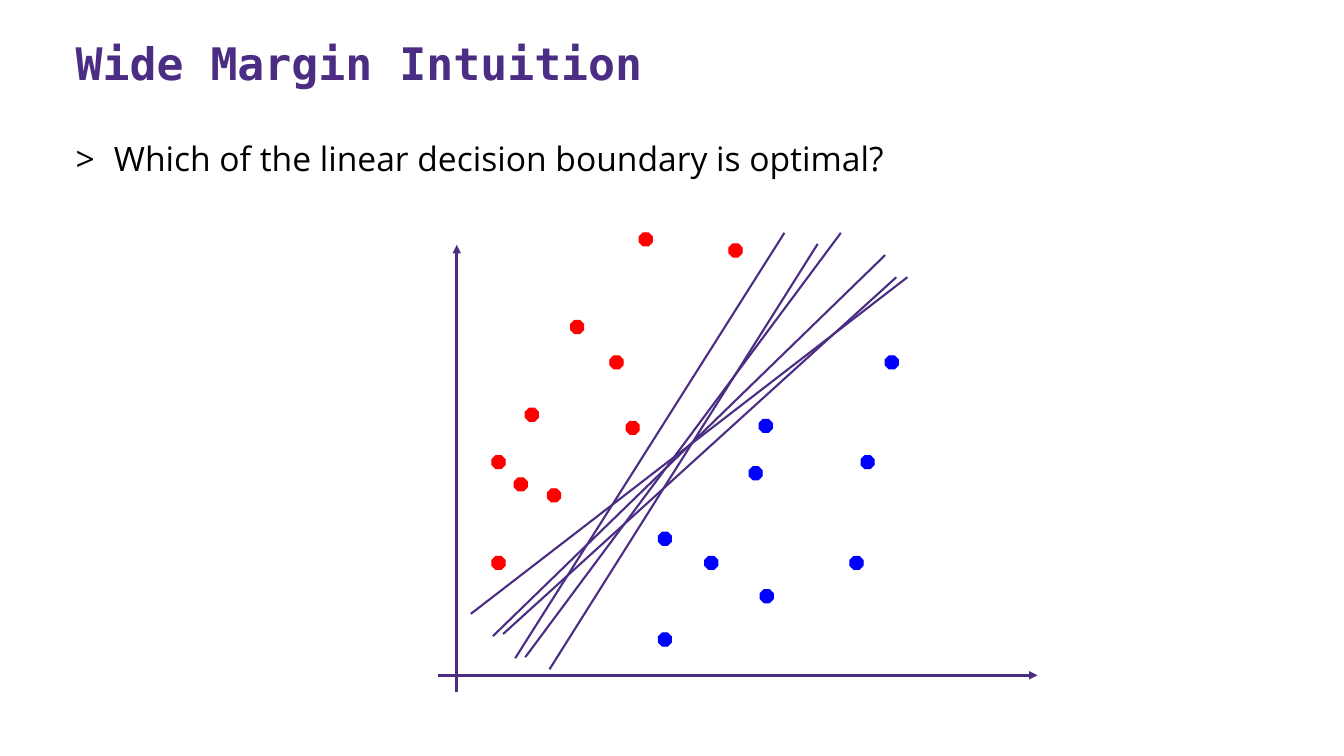
from lxml.etree import SubElement
from pptx import Presentation
from pptx.dml.color import RGBColor
from pptx.enum.shapes import MSO_CONNECTOR, MSO_SHAPE
from pptx.enum.text import MSO_ANCHOR, MSO_AUTO_SIZE, PP_ALIGN
from pptx.oxml.ns import qn
from pptx.util import Inches, Pt

COLORS = {"purple": "4B2E83", "red": "FF0000", "blue": "0000FF",
          "black": "000000", "white": "FFFFFF"}
DOT = 0.13

# Offsets in inches from the top left corner of the plot
RED_DOTS = [(1.71, 1.22), (0.87, 1.74), (1.09, 2.54), (0.54, 3.21), (1.32, 0.87),
            (0.54, 2.21), (0.76, 2.43), (1.87, 1.87), (2.0, 0), (2.89, 0.11)]
BLUE_DOTS = [(3.19, 1.85), (2.65, 3.21), (4.09, 3.21), (2.19, 3.97), (3.09, 2.32),
             (2.19, 2.97), (3.2, 3.54), (4.2, 2.21), (4.44, 1.22)]
BOUNDARIES = [(0.65, 3.98, 4.55, 0.44), (0.87, 4.21, 4.0, 0), (0.33, 3.78, 4.66, 0.44),
              (1.11, 4.33, 3.77, 0.11), (0.77, 4.22, 3.44, 0), (0.55, 4.0, 4.44, 0.22)]


def rgb(name):
    return RGBColor.from_string(COLORS[name])


def place(sp, box):
    sp.left, sp.top, sp.width, sp.height = [Inches(v) for v in box]


def add_text(sp, box, text, font, size, color, anchor, bold=False):
    place(sp, box)
    tf = sp.text_frame
    tf.word_wrap = True
    tf.auto_size = MSO_AUTO_SIZE.NONE
    tf.vertical_anchor = anchor
    p = tf.paragraphs[0]
    p.alignment = PP_ALIGN.LEFT
    r = p.add_run()
    r.text = text
    r.font.name = font
    r.font.size = Pt(size)
    r.font.bold = bold
    r.font.color.rgb = rgb(color)
    return p


def add_title(s, box):
    add_text(s.shapes.title, box, "Wide Margin Intuition", "DejaVu Sans Mono",
             32, "purple", MSO_ANCHOR.BOTTOM, bold=True)


def add_question(s, box):
    sp = s.placeholders[1]
    p = add_text(sp, box, "Which of the linear decision boundary is optimal?",
                 "Open Sans", 24, "black", MSO_ANCHOR.TOP)
    sp.fill.solid()
    sp.fill.fore_color.rgb = rgb("white")
    p.space_before = Pt(4.8)
    # Hanging ">" bullet
    pPr = p._p.get_or_add_pPr()
    pPr.set("marL", str(Inches(0.38)))
    pPr.set("indent", str(Inches(-0.38)))
    SubElement(pPr, qn("a:buFont"), typeface="Open Sans")
    SubElement(pPr, qn("a:buChar"), char=">")


def add_line(s, x1, y1, x2, y2, width, arrow=False):
    c = s.shapes.add_connector(MSO_CONNECTOR.STRAIGHT, *[Inches(v) for v in (x1, y1, x2, y2)])
    c.line.color.rgb = rgb("purple")
    c.line.width = Pt(width)
    if arrow:
        SubElement(c.line._get_or_add_ln(), qn("a:tailEnd"), type="triangle")
    SubElement(c._element.spPr, qn("a:effectLst"))


def add_dot(s, x, y, color):
    sp = s.shapes.add_shape(MSO_SHAPE.OCTAGON, *[Inches(v) for v in (x, y, DOT, DOT)])
    sp.shadow.inherit = False
    sp.fill.solid()
    sp.fill.fore_color.rgb = rgb(color)
    sp.line.color.rgb = rgb(color)
    sp.line.width = Pt(0.75)


def add_plot(s, box):
    left, top, width, height = box
    # Axes
    x_axis, y_axis = top + 4.39, left + 0.19
    add_line(s, y_axis, top + height, y_axis, top + 0.12, 2, arrow=True)
    add_line(s, left, x_axis, left + width, x_axis, 2, arrow=True)
    # Two classes of points
    for color, dots in (("red", RED_DOTS), ("blue", BLUE_DOTS)):
        for x, y in dots:
            add_dot(s, left + x, top + y, color)
    # Candidate decision boundaries
    for x1, y1, x2, y2 in BOUNDARIES:
        add_line(s, left + x1, top + y1, left + x2, top + y2, 1.5)


def main():
    prs = Presentation()
    prs.slide_width, prs.slide_height = Inches(13.33), Inches(7.5)
    s = prs.slides.add_slide(prs.slide_layouts[1])
    add_title(s, (0.65, 0.12, 11.95, 0.82))
    add_question(s, (0.65, 1.32, 11.95, 0.87))
    add_plot(s, (4.34, 2.31, 5.95, 4.56))
    prs.save("out.pptx")


if __name__ == "__main__":
    main()
